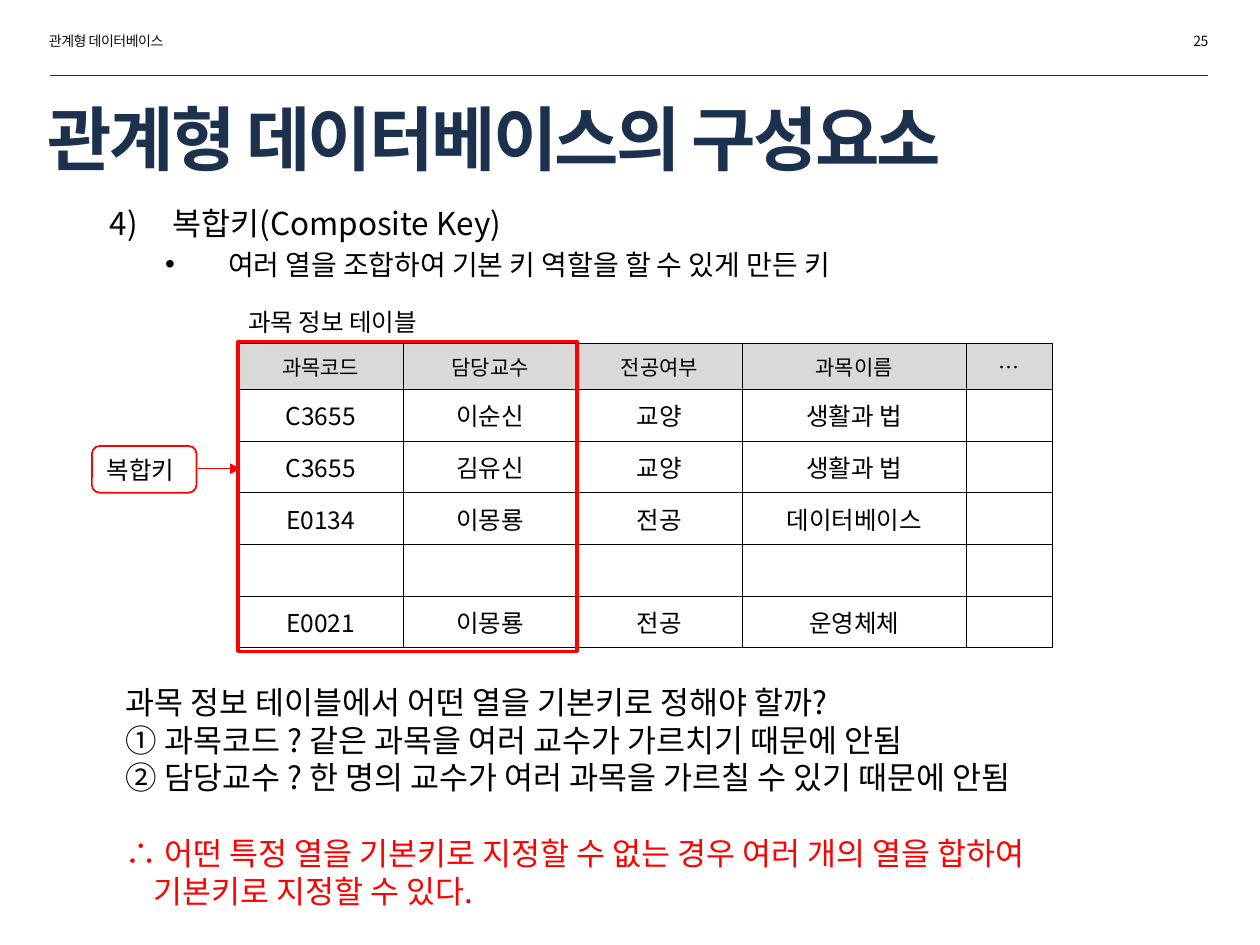
"""Build the composite key slide of a relational database lecture."""
from dataclasses import dataclass

from lxml.etree import SubElement
from pptx import Presentation
from pptx.dml.color import RGBColor as Rgb
from pptx.enum.shapes import MSO_CONNECTOR as Connector, MSO_SHAPE as Preset
from pptx.enum.text import MSO_ANCHOR as Anchor, MSO_AUTO_SIZE as AutoSize, PP_ALIGN as Align
from pptx.oxml.ns import qn
from pptx.util import Inches, Pt


@dataclass(frozen=True)
class Theme:
    font: str = "Noto Sans CJK KR"
    navy: str = "1C314E"
    ink: str = "000000"
    soft_ink: str = "0D0D0D"
    accent: str = "FF0000"
    header_fill: str = "D9D9D9"
    title: int = 40
    body: int = 18
    detail: int = 16
    label: int = 14
    header: int = 12
    running: int = 8


THEME = Theme()
COURSES = [
    ["과목코드", "담당교수", "전공여부", "과목이름", "…"],
    ["C3655", "이순신", "교양", "생활과 법", ""],
    ["C3655", "김유신", "교양", "생활과 법", ""],
    ["E0134", "이몽룡", "전공", "데이터베이스", ""],
    ["", "", "", "", ""],
    ["E0021", "이몽룡", "전공", "운영체체", ""],
]
COLUMN_WIDTHS = [1.31, 1.38, 1.31, 1.78, 0.68]
HEADER_HEIGHT, ROW_HEIGHT = 0.37, 0.41
QUESTIONS = [
    "과목 정보 테이블에서 어떤 열을 기본키로 정해야 할까?",
    "① 과목코드 ? 같은 과목을 여러 교수가 가르치기 때문에 안됨",
    "② 담당교수 ? 한 명의 교수가 여러 과목을 가르칠 수 있기 때문에 안됨",
]
CONCLUSION = "∴ 어떤 특정 열을 기본키로 지정할 수 없는 경우 여러 개의 열을 합하여\v기본키로 지정할 수 있다."


def box(left, top, width, height):
    """Return a position and size in inches as lengths."""
    return [Inches(value) for value in (left, top, width, height)]


def write(frame, text, size, color=THEME.ink, bold=False, tracking=None, align=Align.LEFT,
          before=0, line=1.0, margin=0, indent=0, level=0, bullet=None):
    """Add one formatted paragraph to a text frame, using its first one if empty."""
    paragraph = frame.paragraphs[0] if not frame.text else frame.add_paragraph()
    properties = paragraph._p.get_or_add_pPr()
    properties.set("marL", str(Inches(margin)))
    properties.set("indent", str(Inches(indent)))
    if bullet:
        tag, attributes = bullet
        SubElement(properties, qn(tag), attributes)
    paragraph.level = level
    paragraph.alignment = align
    paragraph.line_spacing = line
    paragraph.space_before = Pt(before)
    paragraph.space_after = Pt(0)
    paragraph.text = text
    for run in paragraph.runs:
        font = run.font
        font.name, font.size, font.bold = THEME.font, Pt(size), bold
        font.color.rgb = Rgb.from_string(color)
        SubElement(font._element, qn("a:ea"), typeface=THEME.font)
        if tracking:
            font._element.set("spc", str(round(tracking * 100)))


def add_text(slide, place, text, size, **style):
    """Add a wrapping text box and return its frame."""
    frame = slide.shapes.add_textbox(*box(*place)).text_frame
    frame.word_wrap = True
    write(frame, text, size, **style)
    return frame


def fill_placeholder(placeholder, place, anchor):
    """Move a placeholder and return its frame with fixed text size."""
    placeholder.left, placeholder.top, placeholder.width, placeholder.height = box(*place)
    frame = placeholder.text_frame
    frame.auto_size = AutoSize.NONE
    frame.vertical_anchor = anchor
    return frame


def add_line(slide, start, end, color, weight, arrow=False):
    """Add a straight connector, with an arrowhead at its end if asked."""
    ends = [Inches(value) for value in (*start, *end)]
    connector = slide.shapes.add_connector(Connector.STRAIGHT, *ends)
    connector.line.color.rgb = Rgb.from_string(color)
    connector.line.width = Pt(weight)
    if arrow:
        SubElement(connector.line._get_or_add_ln(), qn("a:tailEnd"), type="triangle")
    SubElement(connector._element.spPr, qn("a:effectLst"))


def add_outline(slide, preset, place, weight):
    """Add an unfilled accent outline and return its text frame."""
    outline = slide.shapes.add_shape(preset, *box(*place))
    outline.shadow.inherit = False
    outline.fill.background()
    outline.line.color.rgb = Rgb.from_string(THEME.accent)
    outline.line.width = Pt(weight)
    return outline.text_frame


def format_cell(cell, is_header):
    """Give a cell thin borders, a fill and centred anchoring."""
    properties = cell._tc.get_or_add_tcPr()
    for side in ("a:lnL", "a:lnR", "a:lnT", "a:lnB"):
        border = SubElement(properties, qn(side), w=str(Pt(0.25)))
        SubElement(SubElement(border, qn("a:solidFill")), qn("a:srgbClr"), val=THEME.ink)
    if is_header:
        cell.fill.solid()
        cell.fill.fore_color.rgb = Rgb.from_string(THEME.header_fill)
    else:
        cell.fill.background()
    cell.vertical_anchor = Anchor.MIDDLE
    cell.margin_top = cell.margin_bottom = 0


def add_course_table(slide, left, top):
    """Add the course table at a position in inches."""
    heights = [HEADER_HEIGHT] + [ROW_HEIGHT] * (len(COURSES) - 1)
    place = box(left, top, sum(COLUMN_WIDTHS), sum(heights))
    table = slide.shapes.add_table(len(COURSES), len(COLUMN_WIDTHS), *place).table
    table.first_row = table.horz_banding = False
    for column, width in zip(table.columns, COLUMN_WIDTHS):
        column.width = Inches(width)
    for index, (row, height, values) in enumerate(zip(table.rows, heights, COURSES)):
        row.height = Inches(height)
        for cell, value in zip(row.cells, values):
            format_cell(cell, index == 0)
            if value:
                size = THEME.label if index else THEME.header
                write(cell.text_frame, value, size, align=Align.CENTER)


def main():
    """Build and save the slide."""
    deck = Presentation()
    deck.slide_width, deck.slide_height = Inches(10), Inches(7.5)
    slide = deck.slides.add_slide(deck.slide_layouts[1])
    title, body = slide.placeholders

    running = {"color": THEME.soft_ink, "tracking": -0.3}
    add_text(slide, (0.29, 0.21, 1.73, 0.24), "관계형 데이터베이스", THEME.running, **running)
    add_text(slide, (7.96, 0.21, 1.73, 0.24), "25", THEME.running, align=Align.RIGHT, **running)
    add_line(slide, (0.4, 0.6), (9.59, 0.6), THEME.navy, 0.25)

    heading = fill_placeholder(title, (0.28, 0.77, 7.65, 0.64), Anchor.MIDDLE)
    write(heading, "관계형 데이터베이스의 구성요소", THEME.title,
          color=THEME.navy, bold=True, tracking=-1.5)
    points = fill_placeholder(body, (0.33, 1.57, 9.52, 5.25), Anchor.TOP)
    write(points, "복합키(Composite Key)", THEME.body, margin=0.94, indent=-0.5, level=1,
          bullet=("a:buAutoNum", {"type": "arabicParenR", "startAt": "4"}))
    write(points, "여러 열을 조합하여 기본 키 역할을 할 수 있게 만든 키", THEME.detail,
          margin=1.38, indent=-0.5, level=2, before=3.2, bullet=("a:buChar", {"char": "•"}))

    add_course_table(slide, 1.89, 2.72)
    add_text(slide, (1.87, 2.39, 2.09, 0.34), "과목 정보 테이블", THEME.label)

    first, *answers = QUESTIONS
    reasoning = add_text(slide, (0.9, 5.22, 8.44, 2.07), first, THEME.body, line=1.5)
    for answer in answers:
        write(reasoning, answer, THEME.body)
    write(reasoning, CONCLUSION, THEME.body, color=THEME.accent,
          before=21.6, margin=0.22, indent=-0.22)

    add_outline(slide, Preset.RECTANGLE, (1.89, 2.71, sum(COLUMN_WIDTHS[:2]), 2.46), 2)
    key_label = add_outline(slide, Preset.ROUNDED_RECTANGLE, (0.73, 3.54, 0.83, 0.37), 1)
    write(key_label, "복합키", THEME.label)
    add_line(slide, (1.57, 3.72), (1.91, 3.72), THEME.accent, 0.75, arrow=True)

    deck.save("out.pptx")


if __name__ == "__main__":
    main()
